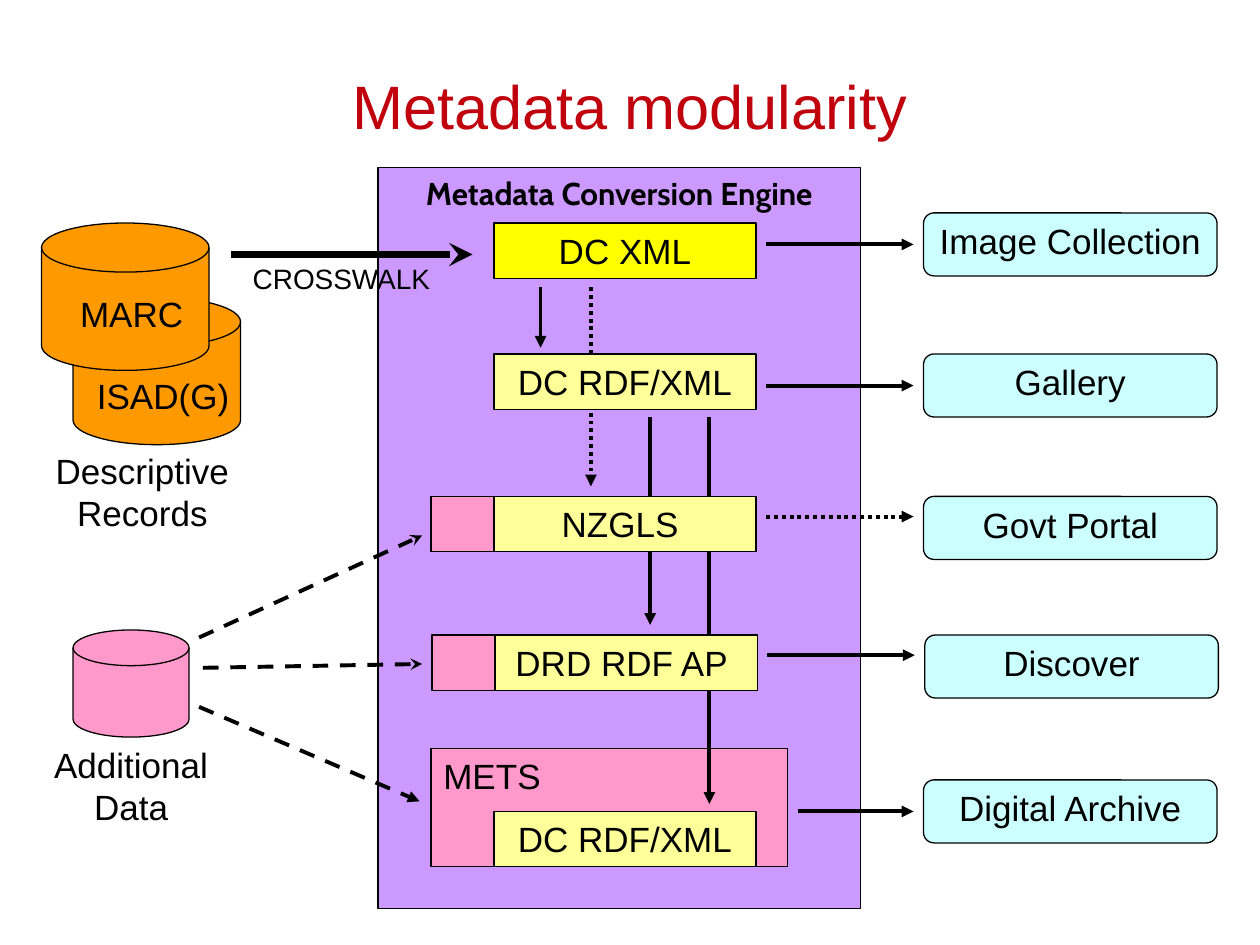
from lxml.etree import SubElement
from pptx import Presentation
from pptx.dml.color import RGBColor
from pptx.enum.dml import MSO_LINE_DASH_STYLE as Dash
from pptx.enum.shapes import MSO_CONNECTOR, MSO_SHAPE as Shape
from pptx.enum.text import MSO_ANCHOR as Anchor, PP_ALIGN as Align
from pptx.oxml.ns import qn
from pptx.util import Inches, Pt

BLACK = RGBColor(0x00, 0x00, 0x00)
RED = RGBColor(0xC0, 0x00, 0x0C)
PURPLE = RGBColor(0xCC, 0x99, 0xFF)
ORANGE = RGBColor(0xFF, 0x99, 0x00)
PINK = RGBColor(0xFF, 0x99, 0xCC)
YELLOW = RGBColor(0xFF, 0xFF, 0x00)
PALE_YELLOW = RGBColor(0xFF, 0xFF, 0x99)
CYAN = RGBColor(0xCC, 0xFF, 0xFF)

# Content: one row per format, with the service it feeds
# label, box left, box top, fill, has pink part, service, service top, arrow y, arrow dash
ROWS = [
    ("DC XML", 3.92, 1.77, YELLOW, False, "Image Collection", 1.69, 1.94, None),
    ("DC RDF/XML", 3.92, 2.81, PALE_YELLOW, False, "Gallery", 2.81, 3.06, None),
    ("NZGLS ", 3.92, 3.94, PALE_YELLOW, True, "Govt Portal", 3.94, 4.1, Dash.ROUND_DOT),
    ("DRD RDF AP ", 3.93, 5.04, PALE_YELLOW, True, "Discover", 5.04, 5.2, None),
    ("DC RDF/XML", 3.92, 6.44, PALE_YELLOW, False, "Digital Archive", 6.19, 6.44, None),
]
METS_ROW = len(ROWS) - 1
BOX_W, BOX_H, PINK_W = 2.08, 0.44, 0.5
SERVICE_SHIFT, SERVICE_W, SERVICE_H = 3.41, 2.33, 0.5

# Databases: left, top, width, height, fill (back to front)
DATABASES = [
    (0.58, 2.36, 1.33, 1.17, ORANGE),
    (0.33, 1.77, 1.33, 1.17, ORANGE),
    (0.58, 5, 0.92, 0.85, PINK),
]
# Free labels: text, left, top, width, height, size
LABELS = [
    ("MARC", 0.42, 2.27, 1.25, 0.44, 20),
    ("ISAD(G)", 0.67, 2.92, 1.25, 0.44, 20),
    ("Descriptive\nRecords", 0.17, 3.52, 1.92, 0.77, 20),
    ("Additional\nData", 0.08, 5.85, 1.92, 0.77, 20),
    ("CROSSWALK", 1.75, 2.03, 1.92, 0.77, 16),
]
# Arrows: start, end, width, dash, head
ARROWS = [
    ((1.83, 2.02), (3.75, 2.02), 4.5, None, "stealth"),
    ((1.58, 5.06), (3.35, 4.25), 2.25, Dash.DASH, "stealth"),
    ((1.61, 5.3), (3.35, 5.27), 2.25, Dash.DASH, "stealth"),
    ((1.58, 5.61), (3.33, 6.36), 2.25, Dash.DASH, "triangle"),
    ((4.29, 2.28), (4.29, 2.76), 2.25, None, "triangle"),
    ((4.69, 2.28), (4.69, 3.86), 2.25, Dash.ROUND_DOT, "triangle"),
    ((5.16, 3.31), (5.16, 4.96), 2.25, None, "triangle"),
    ((5.63, 3.31), (5.63, 6.38), 2.25, None, "triangle"),
]

deck = Presentation()
deck.slide_width, deck.slide_height = Inches(10), Inches(7.5)
slide = deck.slides.add_slide(deck.slide_layouts[6])


def write(shape, text, size=20, font="Arial", color=BLACK, bold=False,
          align=Align.CENTER, anchor=Anchor.TOP, inset_top=0.05):
    frame = shape.text_frame
    frame.word_wrap = True
    frame.vertical_anchor = anchor
    frame.margin_top = Inches(inset_top)
    paragraph = frame.paragraphs[0]
    paragraph.text = text
    paragraph.alignment = align
    look = {"name": font, "size": Pt(size), "bold": bold}
    for run in paragraph.runs:
        for key, value in look.items():
            setattr(run.font, key, value)
        run.font.color.rgb = color


def add_label(text, left, top, width, height, size, **look):
    box = slide.shapes.add_textbox(*map(Inches, (left, top, width, height)))
    write(box, text, size, **look)


def add_block(kind, left, top, width, height, fill, text="", **look):
    block = slide.shapes.add_shape(kind, *map(Inches, (left, top, width, height)))
    block.shadow.inherit = False
    block.fill.solid()
    block.fill.fore_color.rgb = fill
    block.line.color.rgb = BLACK
    block.line.width = Pt(0.75)
    if text:
        write(block, text, **look)


def add_arrow(start, end, width=2.25, dash=None, head="triangle"):
    arrow = slide.shapes.add_connector(MSO_CONNECTOR.STRAIGHT, *map(Inches, start + end))
    arrow.line.color.rgb = BLACK
    arrow.line.width = Pt(width)
    if dash is not None:
        arrow.line.dash_style = dash
    SubElement(arrow.line._get_or_add_ln(), qn("a:tailEnd"), type=head)
    SubElement(arrow._element.spPr, qn("a:effectLst"))


# Engine panel, title and METS container
add_block(Shape.RECTANGLE, 3, 1.33, 3.83, 5.88, PURPLE, "Metadata Conversion Engine",
          size=18, font="Cabin", bold=True)
add_label("Metadata modularity", 0.75, 0.25, 8.5, 1.17, 35, color=RED, anchor=Anchor.MIDDLE)
add_block(Shape.RECTANGLE, 3.42, 5.94, 2.83, 0.94, PINK, "METS", align=Align.LEFT)

# Databases, labels and arrows; the format boxes come later and cover the arrows
for database in DATABASES:
    add_block(Shape.FLOWCHART_MAGNETIC_DISK, *database)
for label in LABELS:
    add_label(*label)
for arrow_values in ARROWS:
    add_arrow(*arrow_values)

# Format boxes and the services they feed
for index, (label, left, top, fill, has_pink, service, service_top, y, dash) in enumerate(ROWS):
    if has_pink:
        add_block(Shape.RECTANGLE, left - PINK_W, top, PINK_W, BOX_H, PINK)
    add_block(Shape.RECTANGLE, left, top, BOX_W, BOX_H, fill, label)
    service_left = left + SERVICE_SHIFT
    arrow_left = left + BOX_W + (0.33 if index == METS_ROW else 0.08)
    add_arrow((arrow_left, y), (service_left - 0.08, y), dash=dash)
    add_block(Shape.ROUNDED_RECTANGLE, service_left, service_top, SERVICE_W, SERVICE_H,
              CYAN, service, inset_top=0.03)

deck.save("out.pptx")
